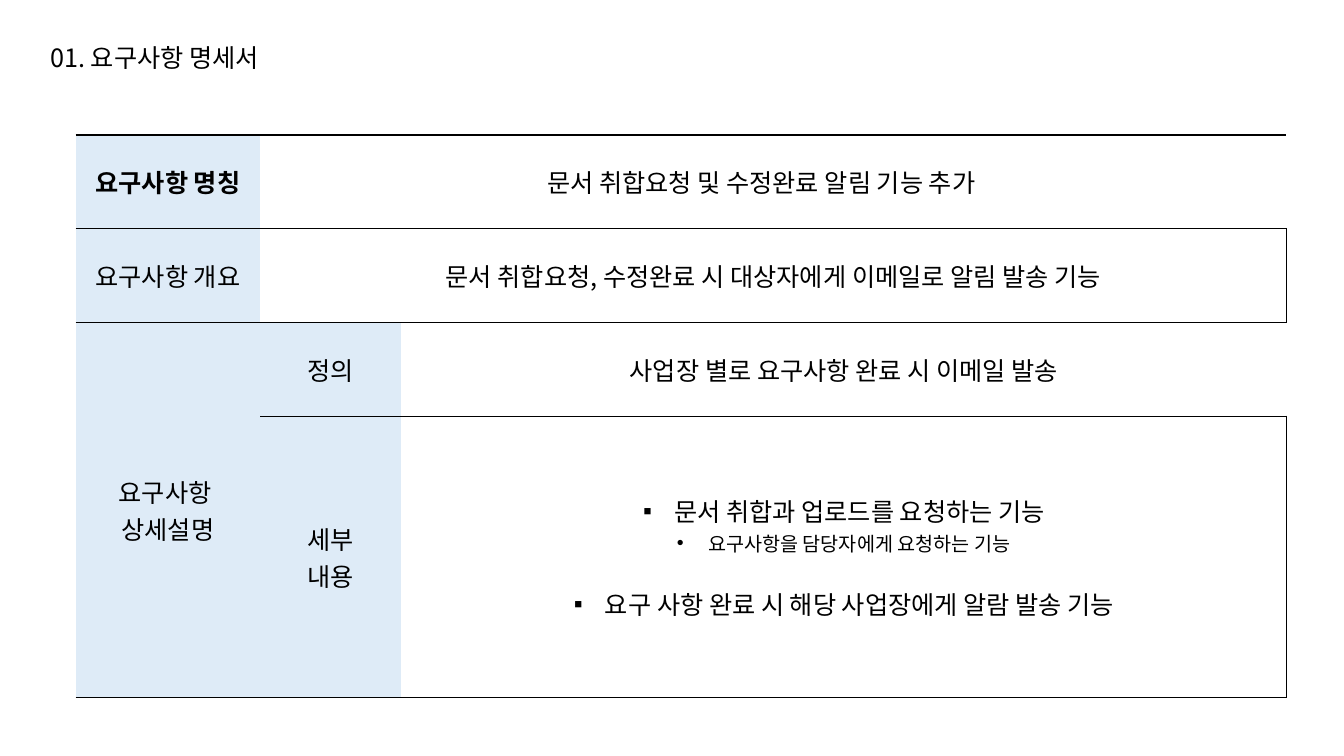
from pptx import Presentation
from pptx.dml.color import RGBColor
from pptx.enum.text import MSO_ANCHOR as Anchor, MSO_AUTO_SIZE as AutoSize, PP_ALIGN as Align
from pptx.oxml.ns import qn
from pptx.util import Inches, Pt
from lxml.etree import SubElement

COLORS = {"ink": "000000", "label": "DEEBF7", "paper": "FFFFFF"}
FONT = "Noto Sans CJK KR"


class SlideBuilder:
    def __init__(self, page):
        self.page = page

    def color(self, name):
        return RGBColor.from_string(COLORS[name])

    def add_text(self, para, text, size=18, bold=False):
        span = para.add_run()
        span.text = text
        font = span.font
        font.size, font.bold, font.name = Pt(size), bold, FONT
        font.color.rgb = self.color("ink")
        SubElement(font._element, qn("a:ea"), typeface=FONT)

    def title(self, text, left, top, width, height):
        box = self.page.shapes.add_textbox(*map(Inches, (left, top, width, height)))
        frame = box.text_frame
        frame.word_wrap = True
        frame.auto_size = AutoSize.SHAPE_TO_FIT_TEXT
        self.add_text(frame.paragraphs[0], text)

    def table(self, left, top, widths, heights):
        frame = self.page.shapes.add_table(
            len(heights), len(widths), Inches(left), Inches(top),
            Inches(sum(widths)), Inches(sum(heights)))
        table = frame.table
        table.first_row = table.horz_banding = False
        for column, width in zip(table.columns, widths):
            column.width = Inches(width)
        for row, height in zip(table.rows, heights):
            row.height = Inches(height)
        return table

    def border(self, cell, sides):
        properties = cell._tc.get_or_add_tcPr()
        for side in "LRTB":
            line = SubElement(properties, qn("a:ln" + side), w=str(Pt(1)))
            if side in sides:
                fill = SubElement(line, qn("a:solidFill"))
                SubElement(fill, qn("a:srgbClr"), val=COLORS["ink"])
            else:
                SubElement(line, qn("a:noFill"))

    def cell(self, table, row, column, lines, fill="paper", rows=1, columns=1,
             sides="TB", bold=False):
        for r in range(row, row + rows):
            for c in range(column, column + columns):
                part = table.cell(r, c)
                self.border(part, sides)
                part.fill.solid()
                part.fill.fore_color.rgb = self.color(fill)
        origin = table.cell(row, column)
        if rows * columns > 1:
            origin.merge(table.cell(row + rows - 1, column + columns - 1))
        origin.vertical_anchor = Anchor.MIDDLE
        for index, text in enumerate(lines):
            para = self.paragraph(origin.text_frame, index)
            self.add_text(para, text, bold=bold)
        return origin

    def paragraph(self, frame, index):
        para = frame.paragraphs[0] if index == 0 else frame.add_paragraph()
        para.alignment = Align.CENTER
        return para

    def bullets(self, cell, items):
        for index, (mark, text, size, gap) in enumerate(items):
            para = self.paragraph(cell.text_frame, index)
            para.space_before = Pt(gap)
            properties = para._p.get_or_add_pPr()
            properties.set("marL", str(Inches(0.31)))
            properties.set("indent", str(-Inches(0.31)))
            SubElement(properties, qn("a:buFont"), typeface="Arial")
            SubElement(properties, qn("a:buChar"), char=mark)
            self.add_text(para, text, size)


deck = Presentation()
deck.slide_width, deck.slide_height = Inches(13.33), Inches(7.5)
builder = SlideBuilder(deck.slides.add_slide(deck.slide_layouts[6]))

builder.title("01. 요구사항 명세서", 0.4, 0.37, 2.91, 0.4)

row_height = 0.93
spec_table = builder.table(0.75, 1.34, [1.83, 1.4, 8.54, 0.23],
                           [row_height] * 3 + [3 * row_height])

builder.cell(spec_table, 0, 0, ["요구사항 명칭"], "label", bold=True)
builder.cell(spec_table, 0, 1, ["문서 취합요청 및 수정완료 알림 기능 추가"], columns=2)
builder.cell(spec_table, 0, 3, [])
builder.cell(spec_table, 1, 0, ["요구사항 개요"], "label")
builder.cell(spec_table, 1, 1, ["문서 취합요청, 수정완료 시 대상자에게 이메일로 알림 발송 기능"],
             columns=3, sides="TRB")
builder.cell(spec_table, 2, 0, ["요구사항 ", "상세설명"], "label", rows=2)
builder.cell(spec_table, 2, 1, ["정의"], "label")
builder.cell(spec_table, 2, 2, ["사업장 별로 요구사항 완료 시 이메일 발송"], columns=2)
builder.cell(spec_table, 3, 1, ["세부", "내용"], "label")
details = builder.cell(spec_table, 3, 2, [], columns=2, sides="TRB")
builder.bullets(details, [
    ("▪", "문서 취합과 업로드를 요청하는 기능", 18, 0),
    ("•", "요구사항을 담당자에게 요청하는 기능", 14, 0),
    ("▪", "요구 사항 완료 시 해당 사업장에게 알람 발송 기능", 18, 20),
])

deck.save("out.pptx")
